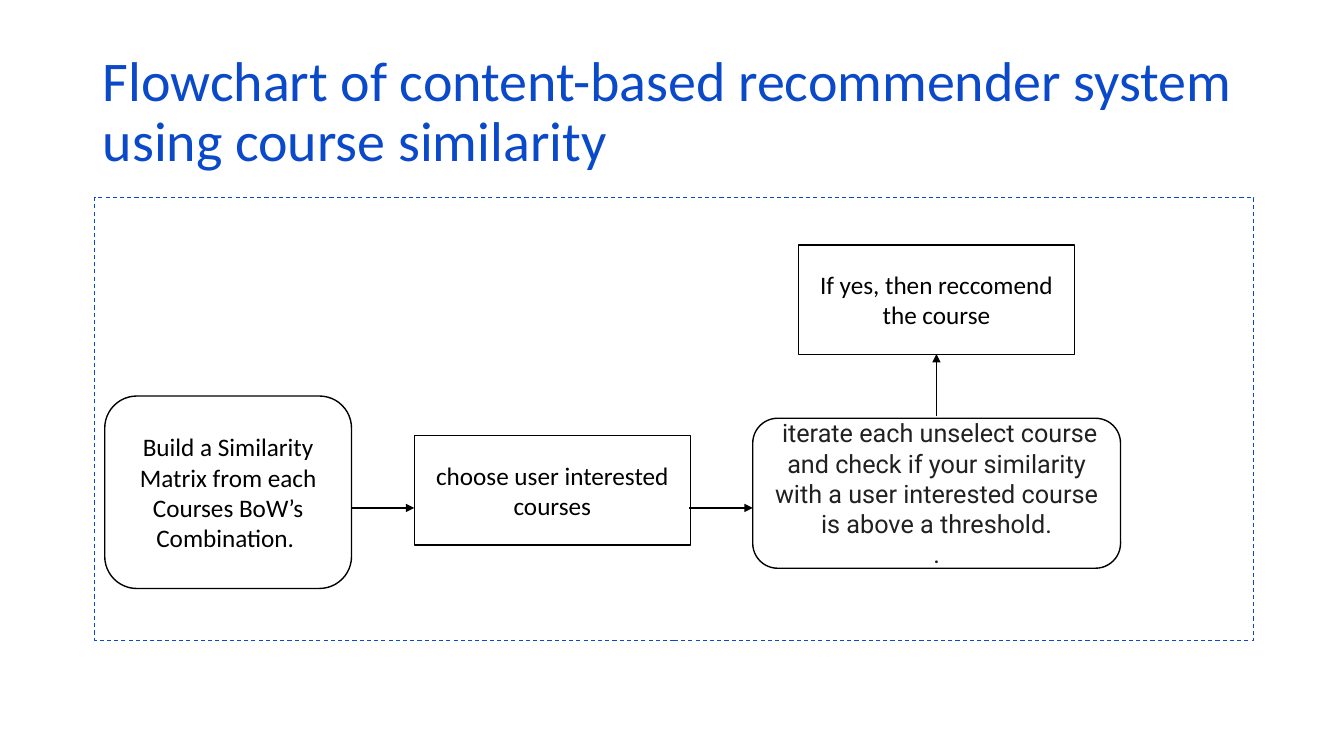
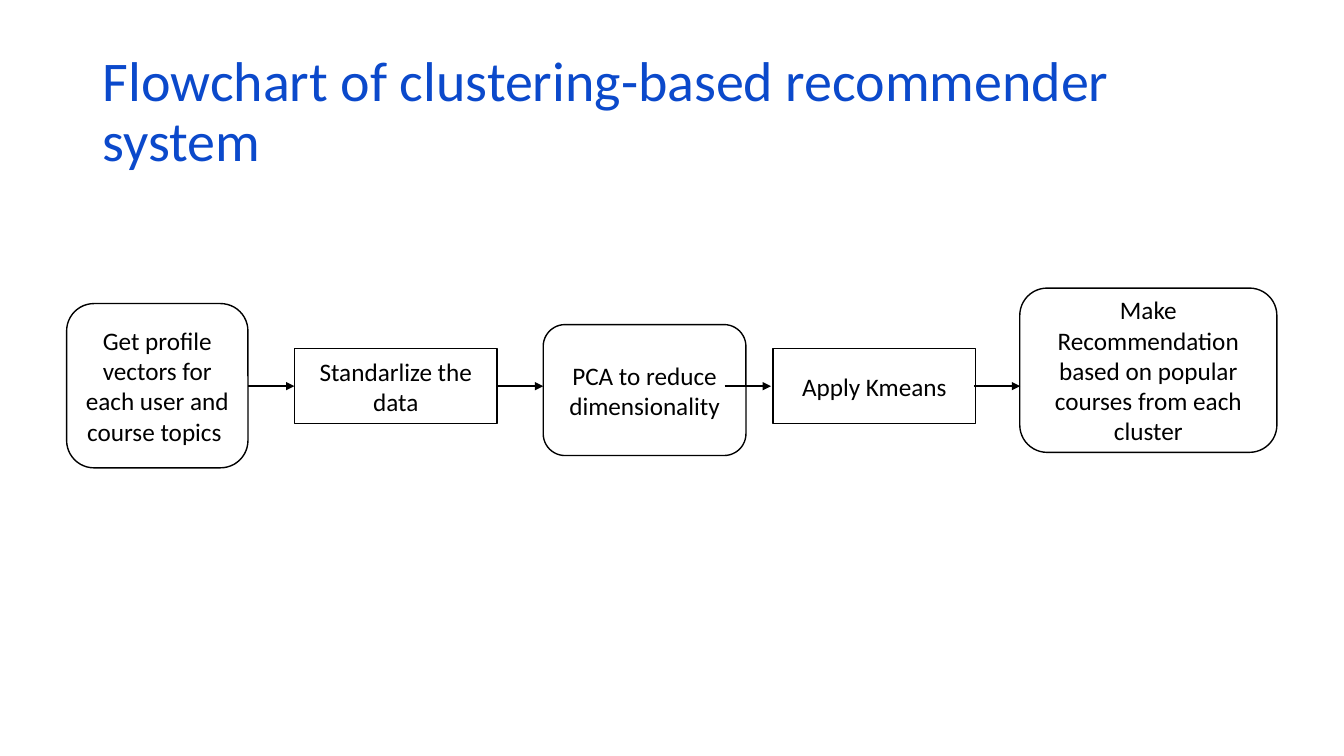
from lxml import etree
from pptx import Presentation
from pptx.dml.color import RGBColor
from pptx.enum.dml import MSO_LINE
from pptx.enum.shapes import MSO_CONNECTOR, MSO_SHAPE
from pptx.enum.text import MSO_ANCHOR, PP_ALIGN
from pptx.oxml.ns import qn
from pptx.util import Cm, Pt

RECT = MSO_SHAPE.RECTANGLE
ROUNDED = MSO_SHAPE.ROUNDED_RECTANGLE
STRAIGHT = MSO_CONNECTOR.STRAIGHT
DASH = MSO_LINE.DASH
LEFT, CENTER = PP_ALIGN.LEFT, PP_ALIGN.CENTER
MIDDLE = MSO_ANCHOR.MIDDLE

# Shared style
BLUE, BLACK, WHITE, CHARCOAL = "0B49CB", "000000", "FFFFFF", "212121"
FONT = "Calibri"
TITLE_ONLY = 5


def color(hex_code):
    return RGBColor.from_string(hex_code)


def format_text(frame, size, hex_code, font=FONT, align=CENTER, spacing=None):
    frame.word_wrap = True
    frame.vertical_anchor = MIDDLE
    for paragraph in frame.paragraphs:
        paragraph.alignment = align
        paragraph.line_spacing = spacing
        for run in paragraph.runs:
            run.font.size = Pt(size)
            run.font.name = font
            run.font.color.rgb = color(hex_code)


def add_titled_slide(deck, heading):
    slide = deck.slides.add_slide(deck.slide_layouts[TITLE_ONLY])
    title = slide.shapes.title
    title.left, title.top = Cm(2.34), Cm(1.02)
    title.width, title.height = Cm(29.21), Cm(3.68)
    title.text_frame.text = heading
    format_text(title.text_frame, 40, BLUE, align=LEFT, spacing=0.9)
    return slide


def add_outline(slide, kind, bounds, hex_code, weight):
    outline = slide.shapes.add_shape(kind, *map(Cm, bounds))
    outline.shadow.inherit = False
    outline.fill.background()
    outline.line.color.rgb = color(hex_code)
    outline.line.width = Pt(weight)
    return outline


def add_step(slide, kind, bounds, text, hex_code=BLACK, font=FONT):
    step = add_outline(slide, kind, bounds, BLACK, 1)
    if kind == RECT:
        step.fill.solid()
        step.fill.fore_color.rgb = color(WHITE)
    step.text_frame.text = text
    format_text(step.text_frame, 18, hex_code, font)


def add_arrow(slide, start, end):
    arrow = slide.shapes.add_connector(STRAIGHT, *map(Cm, start + end))
    arrow.line.color.rgb = color(BLACK)
    arrow.line.width = Pt(1.25)
    etree.SubElement(arrow.line._get_or_add_ln(), qn("a:tailEnd"), type="triangle")
    etree.SubElement(arrow._element.spPr, qn("a:effectLst"))


def add_arrow_row(slide, y, length, starts):
    for x in starts:
        add_arrow(slide, (x, y), (x + length, y))


def build_similarity_slide(deck):
    slide = add_titled_slide(
        deck, "Flowchart of content-based recommender system using course similarity")
    frame = add_outline(slide, RECT, (2.39, 4.98, 29.21, 11.15), BLUE, 0.75)
    frame.line.dash_style = DASH

    # Steps
    add_step(slide, ROUNDED, (2.64, 9.98, 6.22, 4.85),
             "Build a Similarity Matrix from each Courses BoW’s Combination. ")
    add_step(slide, RECT, (10.44, 10.97, 6.96, 2.77), "choose user interested courses")
    add_step(slide, ROUNDED, (18.97, 10.54, 9.27, 3.78),
             " iterate each unselect course and check if your similarity "
             "with a user interested course is above a threshold.\n.",
             CHARCOAL, "Roboto")
    add_step(slide, RECT, (20.12, 6.17, 6.96, 2.77), "If yes, then reccomend the course")

    # Flow
    add_arrow_row(slide, 12.8, 1.6, (8.84, 17.37))
    add_arrow(slide, (23.6, 10.49), (23.6, 8.92))


def build_clustering_slide(deck):
    slide = add_titled_slide(deck, "Flowchart of clustering-based recommender system")

    # Steps
    steps = [
        (ROUNDED, (1.68, 7.65, 4.57, 4.14),
         "Get profile vectors for each user and course topics "),
        (RECT, (7.42, 8.79, 5.11, 1.88), "Standarlize the data"),
        (ROUNDED, (13.69, 8.18, 5.11, 3.3), "PCA to reduce dimensionality"),
        (RECT, (19.48, 8.79, 5.11, 1.88), "Apply Kmeans"),
        (ROUNDED, (25.7, 7.26, 6.48, 4.14),
         "Make Recommendation based on popular courses from each cluster"),
    ]
    for kind, bounds, text in steps:
        add_step(slide, kind, bounds, text)

    # Flow
    add_arrow_row(slide, 9.73, 1.17, (6.25, 12.52, 18.26, 24.54))


def main():
    deck = Presentation()
    deck.slide_width, deck.slide_height = Cm(33.87), Cm(19.05)
    build_similarity_slide(deck)
    build_clustering_slide(deck)
    deck.save("out.pptx")


if __name__ == "__main__":
    main()
